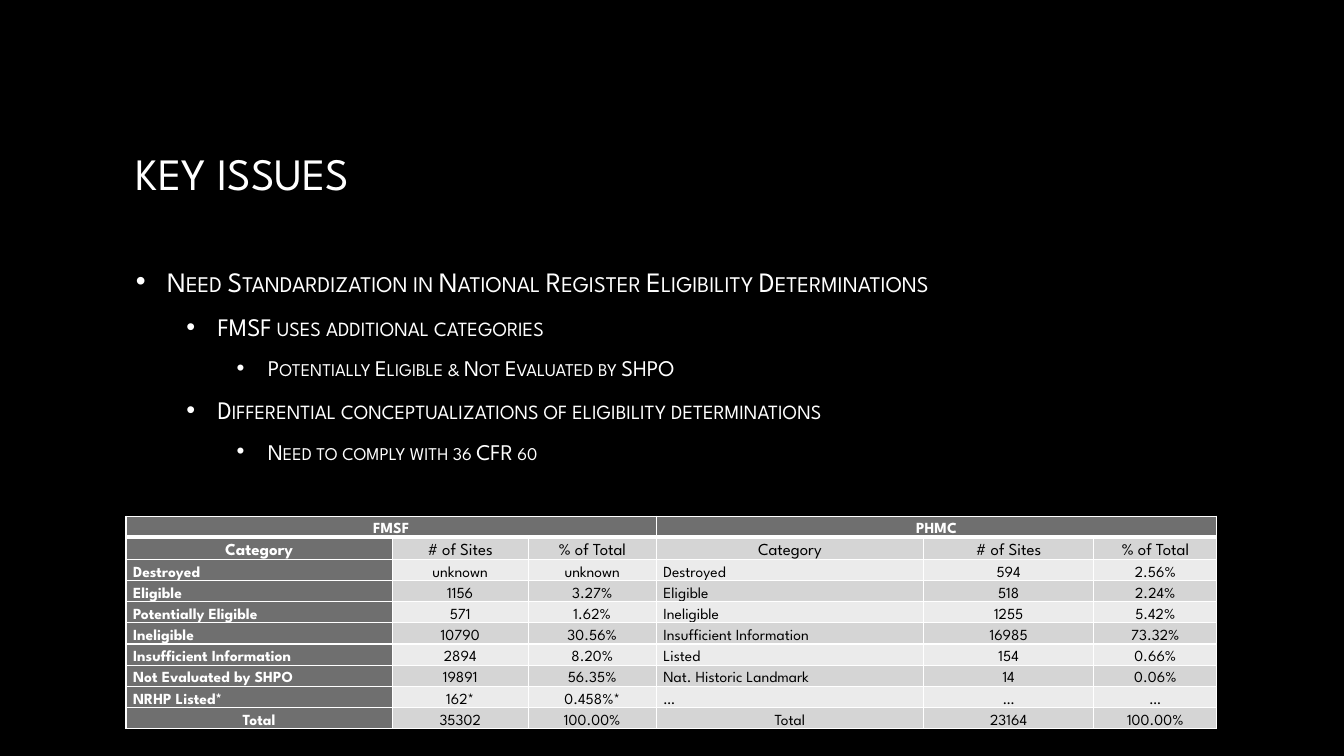
from lxml import etree
from pptx import Presentation
from pptx.dml.color import RGBColor as RGB
from pptx.enum.text import MSO_ANCHOR as Anchor, PP_ALIGN as Align
from pptx.oxml.ns import qn
from pptx.util import Inches, Pt

FACE = "League Spartan"


def tint(fill, *shades):
    """Fill with one colour, or with a steep gradient between two."""
    if len(shades) == 1:
        fill.solid()
        fill.fore_color.rgb = RGB.from_string(shades[0])
        return
    fill.gradient()
    fill.gradient_angle = 267
    for stop, shade in zip(fill.gradient_stops, shades):
        stop.color.rgb = RGB.from_string(shade)


def put(item, values):
    for name, value in values.items():
        setattr(item, name, value)


deck = Presentation()
put(deck, {"slide_width": Inches(13.33), "slide_height": Inches(7.5)})
slide = deck.slides.add_slide(deck.slide_layouts[6])
tint(slide.background.fill, "000000")

# Title
box = slide.shapes.add_textbox(Inches(1.25), Inches(0.67), Inches(10.83), Inches(2.08))
put(box.text_frame, {"word_wrap": True, "vertical_anchor": Anchor.MIDDLE})
run = box.text_frame.paragraphs[0].add_run()
run.text = "KEY ISSUES"
put(run.font, {"name": FACE, "size": Pt(32)})
tint(run.font.fill, "FFFFFF", "A6A6A6")

# Bulleted points
points = [
    (0, "Need Standardization in National Register Eligibility Determinations"),
    (1, "FMSF uses additional categories"),
    (2, "Potentially Eligible & Not Evaluated by SHPO"),
    (1, "Differential conceptualizations of eligibility determinations"),
    (2, "Need to comply with 36 CFR 60"),
]
box = slide.shapes.add_textbox(Inches(1.25), Inches(2.12), Inches(10.83), Inches(2.99))
frame = box.text_frame
put(frame, {"word_wrap": True, "vertical_anchor": Anchor.MIDDLE})
for i, (level, text) in enumerate(points):
    para = frame.add_paragraph() if i else frame.paragraphs[0]
    size = 20 - 2 * level
    props = para._p.get_or_add_pPr()
    props.set("marL", str(Inches(0.31 + 0.5 * level)))
    props.set("indent", str(-Inches(0.31)))
    color = etree.SubElement(props, qn("a:buClr"))
    etree.SubElement(color, qn("a:srgbClr"), val="FFFFFF")
    etree.SubElement(props, qn("a:buFont"), typeface="Arial")
    etree.SubElement(props, qn("a:buChar"), char="•")
    put(para, {"level": level, "space_before": Pt(0.2 * size if i else 0),
               "space_after": Pt(6)})
    run = para.add_run()
    run.text = text
    put(run.font, {"name": FACE, "size": Pt(size)})
    tint(run.font.fill, "FFFFFF", "BFBFBF")
    run._r.get_or_add_rPr().set("cap", "small")

# Table of site counts
rows = [
    ("FMSF", "", "", "PHMC", "", ""),
    ("Category", "# of Sites", "% of Total") * 2,
    ("Destroyed", "unknown", "unknown", "Destroyed", "594", "2.56%"),
    ("Eligible", "1156", "3.27%", "Eligible", "518", "2.24%"),
    ("Potentially Eligible", "571", "1.62%", "Ineligible", "1255", "5.42%"),
    ("Ineligible", "10790", "30.56%", "Insufficient Information", "16985", "73.32%"),
    ("Insufficient Information", "2894", "8.20%", "Listed", "154", "0.66%"),
    ("Not Evaluated by SHPO", "19891", "56.35%", "Nat. Historic Landmark", "14", "0.06%"),
    ("NRHP Listed*", "162*", "0.458%*", "…", "…", "…"),
    ("Total", "35302", "100.00%", "Total", "23164", "100.00%"),
]
widths = [2.64, 1.35, 1.27, 2.65, 1.69, 1.22]
last = len(rows) - 1
grid = slide.shapes.add_table(len(rows), len(widths), Inches(1.25), Inches(5.12),
                              Inches(10.83), Inches(2.09)).table
for col, width in zip(grid.columns, widths):
    col.width = Inches(width)
for r, row in enumerate(rows):
    grid.rows[r].height = Inches(0.22 if r == 1 else 0.21)
    for c, text in enumerate(row):
        cell = grid.cell(r, c)
        put(cell, {"vertical_anchor": Anchor.BOTTOM,
                   "margin_left": Inches(0.07), "margin_right": Inches(0.07),
                   "margin_top": 0, "margin_bottom": 0})

        # White rules, heavier under the top row
        for side in "LRTB":
            heavy = (r, side) in ((0, "B"), (1, "T"))
            line = etree.SubElement(cell._tc.get_or_add_tcPr(), qn("a:ln" + side),
                                    w=str(Pt(3 if heavy else 1)))
            paint = etree.SubElement(line, qn("a:solidFill"))
            etree.SubElement(paint, qn("a:srgbClr"), val="FFFFFF")

        # Dark top row and first column, banded body
        dark = r == 0 or c == 0
        tint(cell.fill, "6F6F6F" if dark else "D5D5D5" if r % 2 else "EBEBEB")
        para = cell.text_frame.paragraphs[0]
        label = c % 3 == 0 and 1 < r < last
        put(para, {"alignment": Align.LEFT if label else Align.CENTER,
                   "line_spacing": 1.07})
        put(para.font, {"name": FACE, "size": Pt(12 if r == 1 else 11), "bold": dark})
        if text:
            run = para.add_run()
            run.text = text
            put(run.font, {"name": FACE, "size": Pt(12 if r == 1 else 11), "bold": dark})
            tint(run.font.fill, "FFFFFF" if dark else "000000")
for c in (0, 3):
    grid.cell(0, c).merge(grid.cell(0, c + 2))

deck.save("out.pptx")
